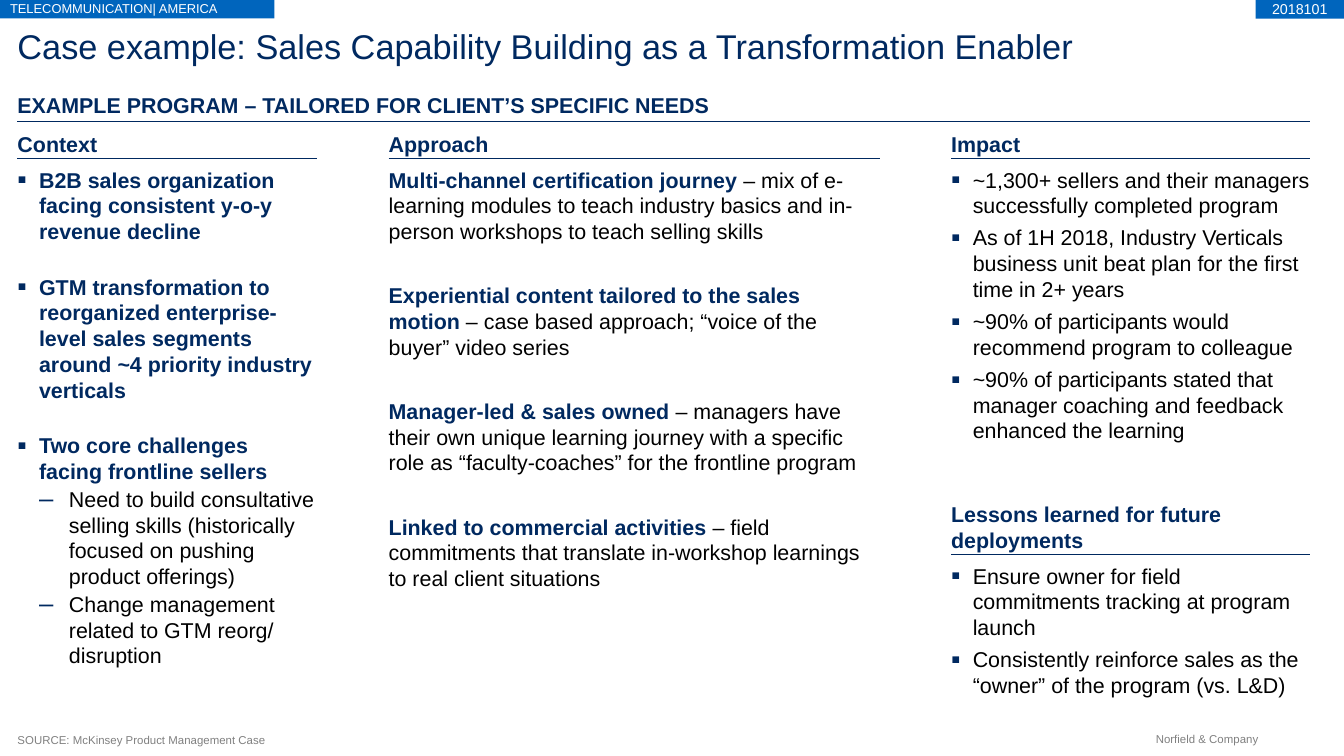
from lxml import etree
from pptx import Presentation
from pptx.dml.color import RGBColor
from pptx.enum.shapes import MSO_CONNECTOR, MSO_SHAPE
from pptx.enum.text import MSO_ANCHOR, PP_ALIGN
from pptx.oxml.ns import qn
from pptx.util import Inches, Pt

NAVY = RGBColor(0x00, 0x29, 0x60)
BLUE = RGBColor(0x00, 0x65, 0xBD)
GRAY = RGBColor(0x80, 0x80, 0x80)
BLACK = RGBColor(0, 0, 0)
WHITE = RGBColor(0xFF, 0xFF, 0xFF)
TOP, MIDDLE, BOTTOM = MSO_ANCHOR.TOP, MSO_ANCHOR.MIDDLE, MSO_ANCHOR.BOTTOM
LEFT, CENTER = PP_ALIGN.LEFT, PP_ALIGN.CENTER
LINE, RECT = MSO_CONNECTOR.STRAIGHT, MSO_SHAPE.RECTANGLE

EDGE, FULL = 0.17, 12.57
SQUARE = ("▪", 125, 0.21, 0.21)
DASH = ("–", 120, 0.5, 0.29)

CONTEXT = [
    (SQUARE, 0, [("B2B sales organization facing consistent y-o-y revenue decline", True)]),
    (SQUARE, 21, [("GTM transformation to reorganized enterprise-level sales segments "
                   "around ~4 priority industry verticals", True)]),
    (SQUARE, 21, [("Two core challenges facing frontline sellers", True)]),
    (DASH, 1.6, [("Need to build consultative selling skills (historically focused "
                  "on pushing product offerings)", False)]),
    (DASH, 1.6, [("Change management related to GTM reorg/ disruption", False)]),
]
STEPS = [
    ("Multi-channel certification journey",
     " – mix of e-learning modules to teach industry basics and in-person "
     "workshops to teach selling skills"),
    ("Experiential content tailored to the sales \nmotion",
     " – case based approach; “voice of the buyer” video series"),
    ("Manager-led & sales owned",
     " – managers have their own unique learning journey with a specific role "
     "as “faculty-coaches” for the frontline program"),
    ("Linked to commercial activities",
     " – field commitments that translate in-workshop learnings to real client situations"),
]
IMPACT = [
    "~1,300+ sellers and their managers successfully completed program",
    "As of 1H 2018, Industry Verticals business unit beat plan for the first time in 2+ years",
    "~90% of participants would recommend program to colleague",
    "~90% of participants stated that manager coaching and feedback enhanced the learning",
]
LESSONS = [
    "Ensure owner for field commitments tracking at program launch",
    "Consistently reinforce sales as the “owner” of the program (vs. L&D)",
]


def add_run(para, text, size, color, bold=False):
    for i, part in enumerate(text.split("\n")):
        if i:
            para.add_line_break()
        run = para.add_run()
        run.text = part
        font = run.font
        font.name, font.size, font.bold = "Arial", Pt(size), bold
        font.color.rgb = color


def add_box(slide, left, top, width, height, anchor=TOP):
    box = slide.shapes.add_textbox(Inches(left), Inches(top), Inches(width), Inches(height))
    frame = box.text_frame
    frame.word_wrap = True
    frame.vertical_anchor = anchor
    frame.margin_left = frame.margin_right = frame.margin_top = frame.margin_bottom = 0
    return frame


def add_label(slide, box, text, size, color, bold=False, anchor=TOP):
    frame = add_box(slide, *box, anchor)
    add_run(frame.paragraphs[0], text, size, color, bold)


def add_rule(slide, left, top, width):
    rule = slide.shapes.add_connector(
        LINE, Inches(left), Inches(top), Inches(left + width), Inches(top))
    rule.line.color.rgb = NAVY
    rule.line.width = Pt(0.75)
    etree.SubElement(rule._element.spPr, qn("a:effectLst"))


def add_bullet(para, mark, scale, indent, hang):
    props = para._p.get_or_add_pPr()
    props.set("marL", str(Inches(indent)))
    props.set("indent", str(-Inches(hang)))
    color = etree.SubElement(props, qn("a:buClr"))
    etree.SubElement(color, qn("a:srgbClr"), val=str(NAVY))
    etree.SubElement(props, qn("a:buSzPct"), val=str(scale * 1000))
    etree.SubElement(props, qn("a:buFont"), typeface="Arial")
    etree.SubElement(props, qn("a:buChar"), char=mark)


def add_panel(slide, box, head, items, deep=0.25):
    left, top, width, height = box
    add_label(slide, (left, top, width, deep), head, 15, NAVY, True, BOTTOM)
    rule = top + deep + 0.02
    add_rule(slide, left, rule, width)
    body = rule + 0.08
    frame = add_box(slide, left, body, width, top + height - body)
    for i, (bullet, gap, runs) in enumerate(items):
        para = frame.add_paragraph() if i else frame.paragraphs[0]
        para.space_before = Pt(gap)
        if bullet:
            add_bullet(para, *bullet)
        for text, strong in runs:
            add_run(para, text, 15, NAVY if strong else BLACK, strong)


def add_tag(slide, box, text, size, align):
    tag = slide.shapes.add_shape(RECT, *(Inches(n) for n in box))
    tag.shadow.inherit = False
    tag.fill.solid()
    tag.fill.fore_color.rgb = BLUE
    tag.line.fill.background()
    frame = tag.text_frame
    frame.word_wrap = False
    frame.vertical_anchor = MIDDLE
    frame.paragraphs[0].alignment = align
    add_run(frame.paragraphs[0], text, size, WHITE)


def add_header(slide, left, top, width):
    add_label(slide, (left, top, width, 0.34),
              "Case example: Sales Capability Building as a Transformation Enabler", 24, NAVY)
    add_label(slide, (left, top + 0.65, width, 0.25),
              "EXAMPLE PROGRAM – TAILORED FOR CLIENT’S SPECIFIC NEEDS", 15, NAVY, True, MIDDLE)
    add_rule(slide, left, top + 0.93, width)


def add_footer(slide, left, top):
    add_label(slide, (left, top, 10.88, 0.14),
              "SOURCE: McKinsey Product Management Case", 8, GRAY, anchor=BOTTOM)
    add_label(slide, (left + 11.07, top, 1.3, 0.13), "Norfield & Company", 8, GRAY)


def plain(texts):
    return [(SQUARE, 4.5 if i else 0, [(text, False)]) for i, text in enumerate(texts)]


def main():
    deck = Presentation()
    deck.slide_width, deck.slide_height = Inches(13.07), Inches(7.35)
    slide = deck.slides.add_slide(deck.slide_layouts[6])
    add_tag(slide, (0, -0.02, 2.67, 0.2), "TELECOMMUNICATION| AMERICA", 9, LEFT)
    add_tag(slide, (12.21, -0.01, 0.86, 0.19), "2018101", 10, CENTER)
    add_header(slide, EDGE, 0.25, FULL)
    steps = [(None, 27 if i else 0, [(lead, True), (rest, False)])
             for i, (lead, rest) in enumerate(STEPS)]
    add_panel(slide, (EDGE, 1.27, 2.91, 5.31), "Context", CONTEXT)
    add_panel(slide, (3.78, 1.27, 4.78, 4.6), "Approach", steps)
    add_panel(slide, (9.25, 1.27, 3.49, 3.36), "Impact", plain(IMPACT))
    add_panel(slide, (9.25, 4.87, 3.49, 1.93),
              "Lessons learned for future deployments", plain(LESSONS), 0.5)
    add_footer(slide, EDGE, 7.12)
    deck.save("out.pptx")


if __name__ == "__main__":
    main()
